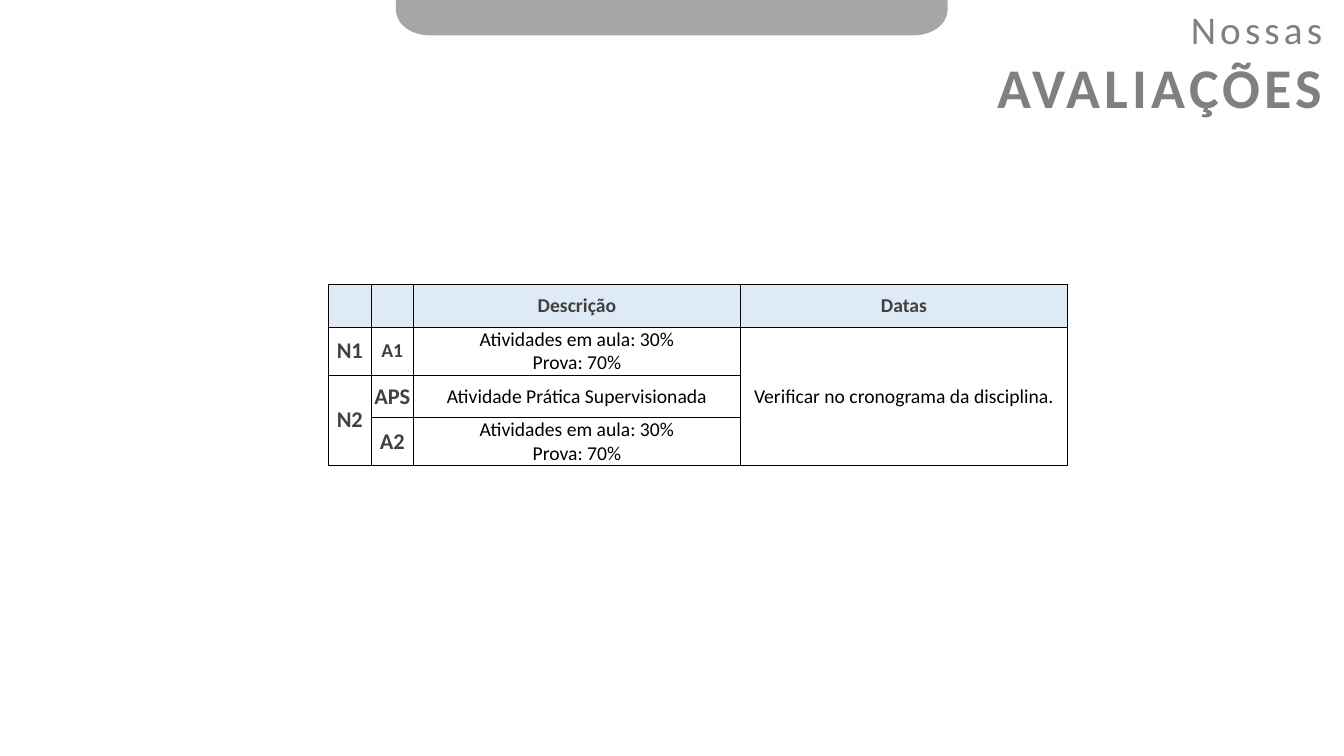
import math

from lxml import etree
from pptx import Presentation
from pptx.dml.color import RGBColor
from pptx.enum.text import MSO_ANCHOR, PP_ALIGN
from pptx.oxml.ns import qn
from pptx.util import Cm, Pt

MIDDLE, TOP = MSO_ANCHOR.MIDDLE, MSO_ANCHOR.TOP
CENTER, RIGHT = PP_ALIGN.CENTER, PP_ALIGN.RIGHT
TITLE_ONLY = 5
FONT = "Calibri"
GREY, DARK, BLACK, WHITE, PALE_BLUE = "808080", "404040", "000000", "FFFFFF", "DEEBF7"

COLUMN_WIDTHS = (1.07, 1.07, 8.24, 8.24)
ROW_HEIGHT = 1.07
EXAM = "Atividades em aula: 30%\nProva: 70%"
ROWS = (
    ("", "", "Descrição", "Datas"),
    ("N1", "A1", EXAM, "Verificar no cronograma da disciplina."),
    ("N2", "APS", "Atividade Prática Supervisionada", ""),
    ("", "A2", EXAM, ""),
)
MERGES = (((1, 3), (3, 3)), ((2, 0), (3, 0)))


def rgb(color):
    return RGBColor.from_string(color)


def style(p, size, color, bold, align):
    p.alignment = align
    p.font.name, p.font.size, p.font.bold = FONT, Pt(size), bold
    p.font.color.rgb = rgb(color)


def add_title(slide):
    sp = slide.shapes.title
    sp.left, sp.top, sp.width, sp.height = Cm(21.87), Cm(0), Cm(11.71), Cm(3.18)
    tf = sp.text_frame
    tf.vertical_anchor = TOP
    tf.text = "Nossas\nAVALIAÇÕES"
    for p, size, bold in zip(tf.paragraphs, (28, 40), (False, True)):
        style(p, size, GREY, bold, RIGHT)
        p.runs[0].font._element.set("spc", "300")


def add_top_tab(slide):
    """Draw the grey tab with elliptical lower corners."""
    left, right, bottom, rx, ry = 9.98, 23.88, 0.89, 0.84, 0.64
    angles = [math.radians(a) for a in range(0, 91, 6)]
    corner = [(rx * (1 - math.cos(a)), bottom - ry * (1 - math.sin(a))) for a in angles]
    points = [(right - dx, y) for dx, y in corner]
    points += [(left + dx, y) for dx, y in reversed(corner)]
    points.append((left, 0))
    builder = slide.shapes.build_freeform(Cm(right), Cm(0), scale=1.0)
    builder.add_line_segments([(Cm(x), Cm(y)) for x, y in points], close=True)
    sp = builder.convert_to_shape()
    sp.shadow.inherit = False
    sp.fill.solid()
    sp.fill.fore_color.rgb = rgb("A6A6A6")
    sp.line.fill.background()


def set_borders(cell):
    tc_pr = cell._tc.get_or_add_tcPr()
    for i, side in enumerate(("a:lnL", "a:lnR", "a:lnT", "a:lnB")):
        ln = etree.Element(qn(side), w=str(Pt(0.75)))
        fill = etree.SubElement(ln, qn("a:solidFill"))
        etree.SubElement(fill, qn("a:srgbClr"), val=BLACK)
        tc_pr.insert(i, ln)


def fill_cell(cell, text, row, col):
    cell.margin_left = cell.margin_right = cell.margin_top = cell.margin_bottom = 0
    cell.vertical_anchor = MIDDLE
    cell.fill.solid()
    cell.fill.fore_color.rgb = rgb(WHITE if row else PALE_BLUE)
    set_borders(cell)
    label = row == 0 or col < 2
    size = 16 if text in ("N1", "N2", "APS", "A2") else 14
    cell.text = text
    for p in cell.text_frame.paragraphs:
        style(p, size, DARK if label else BLACK, label, CENTER)


def add_assessment_table(slide):
    frame = slide.shapes.add_table(
        len(ROWS), len(COLUMN_WIDTHS), Cm(8.28), Cm(7.18),
        Cm(sum(COLUMN_WIDTHS)), Cm(ROW_HEIGHT * len(ROWS)))
    table = frame.table
    for column, width in zip(table.columns, COLUMN_WIDTHS):
        column.width = Cm(width)
    for r, texts in enumerate(ROWS):
        table.rows[r].height = Cm(ROW_HEIGHT)
        for c, text in enumerate(texts):
            fill_cell(table.cell(r, c), text, r, c)
    for first, last in MERGES:
        table.cell(*first).merge(table.cell(*last))


def main():
    prs = Presentation()
    prs.slide_width, prs.slide_height = Cm(33.87), Cm(19.05)
    slide = prs.slides.add_slide(prs.slide_layouts[TITLE_ONLY])
    add_title(slide)
    add_assessment_table(slide)
    add_top_tab(slide)
    prs.save("out.pptx")


if __name__ == "__main__":
    main()
